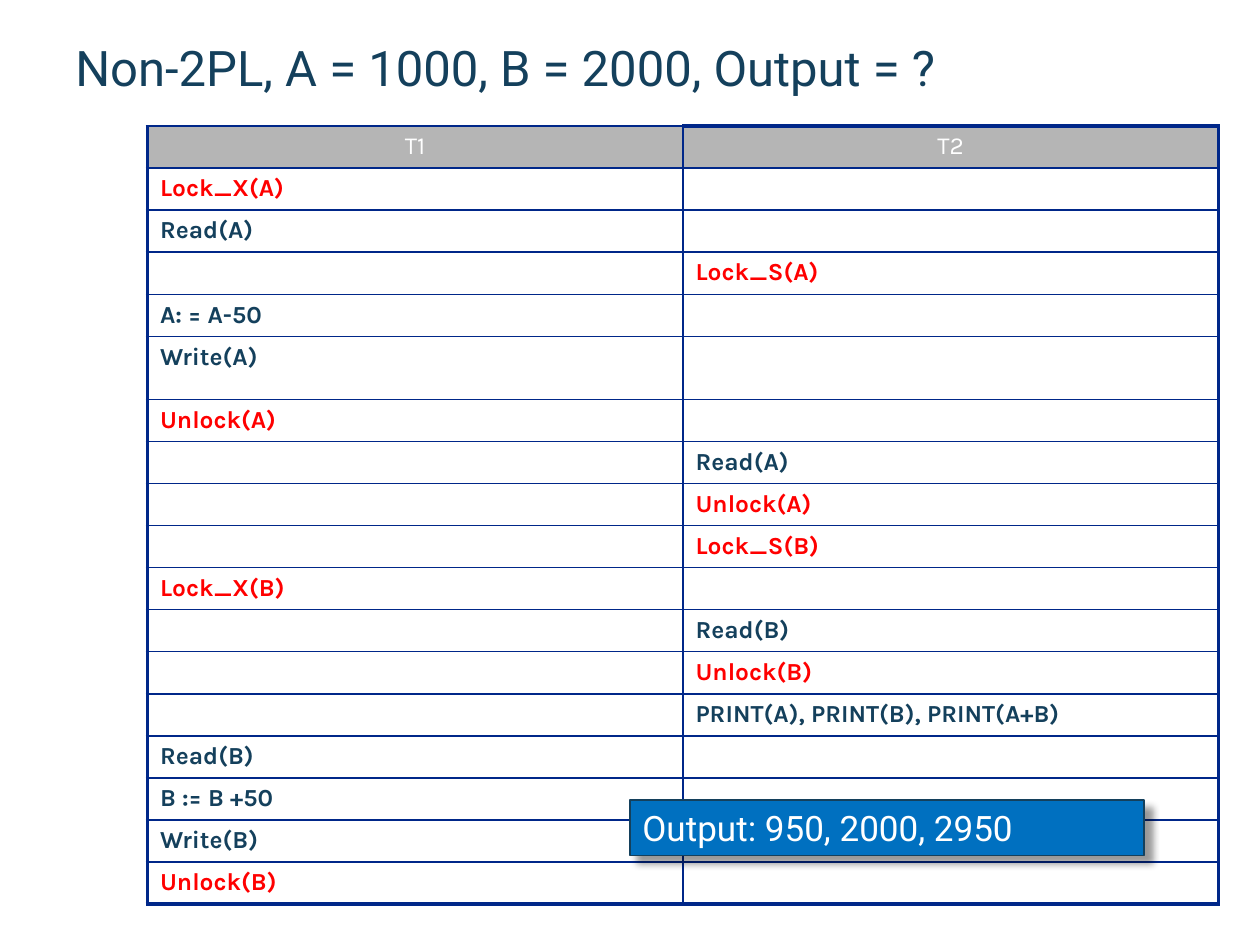
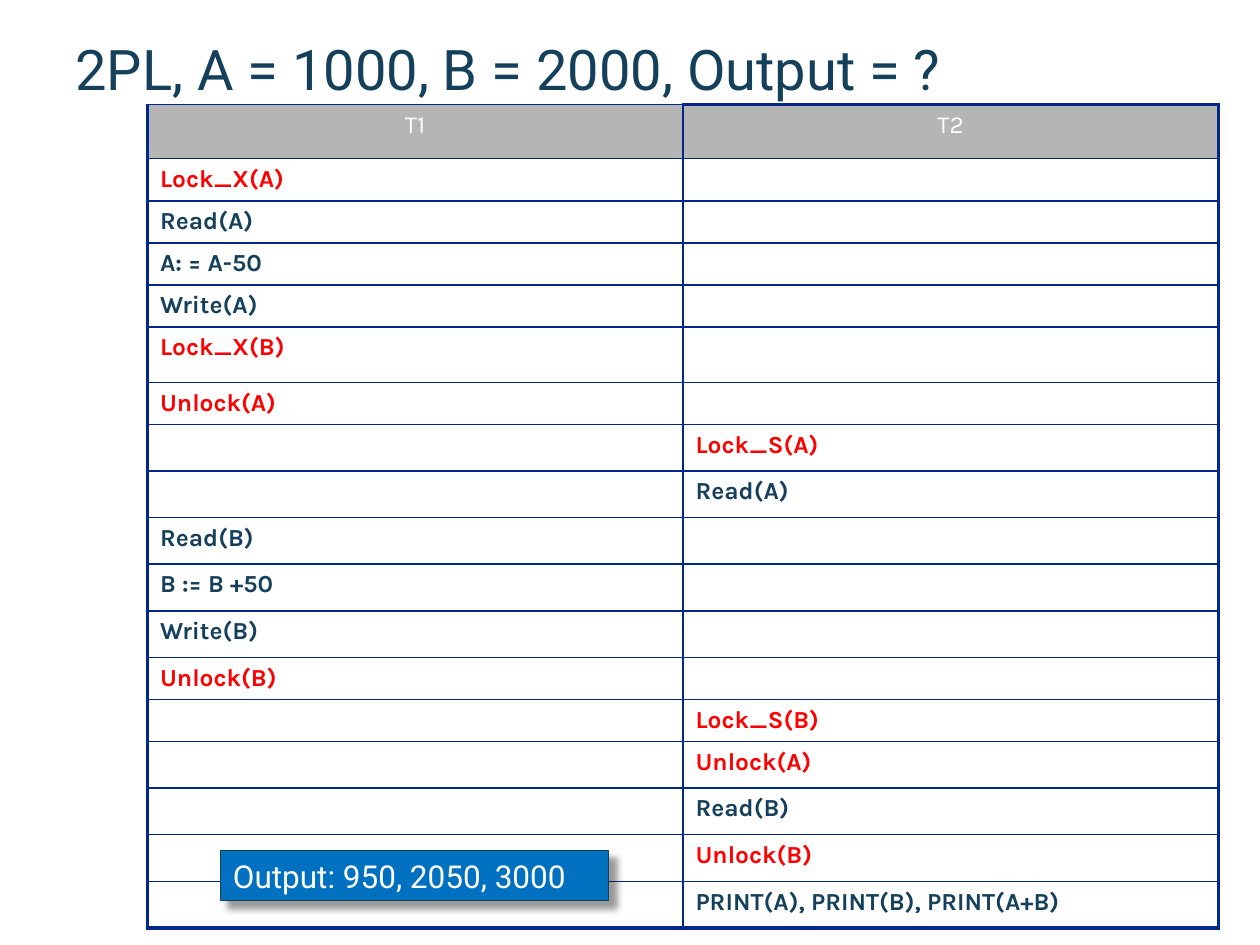
from pptx import Presentation
from pptx.dml.color import RGBColor
from pptx.enum.shapes import MSO_SHAPE as Shape
from pptx.enum.text import MSO_ANCHOR as Anchor, PP_ALIGN as Align
from pptx.oxml import parse_xml
from pptx.oxml.ns import nsdecls, qn
from pptx.util import Inches, Pt
from lxml.etree import SubElement as Sub

NAVY = RGBColor(0x14, 0x40, 0x5C)
RED = RGBColor(0xFF, 0x00, 0x00)
WHITE = RGBColor(0xFF, 0xFF, 0xFF)
GREY = RGBColor(0xB5, 0xB5, 0xB5)
BLUE = RGBColor(0x00, 0x70, 0xC0)
EDGE = RGBColor(0x00, 0x27, 0x89)

HEAD_FONT = "Roboto"
CELL_FONT = "Karla"
CELL_SIZE = 14
THICK, THIN = 2.25, 1
LOW, HIGH = 1 / 3, 0.37

LOOSE = [
    (0, "Lock_X(A)"), (0, "Read(A)"), (1, "Lock_S(A)"), (0, "A: = A-50"),
    (0, "Write(A)"), (0, "Unlock(A)"), (1, "Read(A)"), (1, "Unlock(A)"),
    (1, "Lock_S(B)"), (0, "Lock_X(B)"), (1, "Read(B)"), (1, "Unlock(B)"),
    (1, "PRINT(A), PRINT(B), PRINT(A+B)"), (0, "Read(B)"),
    (0, "B := B +50"), (0, "Write(B)"), (0, "Unlock(B)"),
]
STRICT = [
    (0, "Lock_X(A)"), (0, "Read(A)"), (0, "A: = A-50"), (0, "Write(A)"),
    (0, "Lock_X(B)"), (0, "Unlock(A)"), (1, "Lock_S(A)"), (1, "Read(A)"),
    (0, "Read(B)"), (0, "B := B +50"), (0, "Write(B)"), (0, "Unlock(B)"),
    (1, "Lock_S(B)"), (1, "Unlock(A)"), (1, "Read(B)"), (1, "Unlock(B)"),
    (1, "PRINT(A), PRINT(B), PRINT(A+B)"),
]
LOOSE_ROWS = [LOW] * 5 + [0.5] + [LOW] * 12
STRICT_ROWS = [0.43] + [LOW] * 4 + [0.44, LOW] + [HIGH] * 5 + [LOW] * 2 + [HIGH] * 4


def add_run(para, text, size, color, font, bold=False):
    run = para.add_run()
    run.text = text
    run.font.size = Pt(size)
    run.font.name = font
    run.font.bold = bold
    run.font.color.rgb = color


def add_title(slide, text, top, height, size):
    box = slide.shapes.add_textbox(Inches(0.5), Inches(top), Inches(9), Inches(height))
    frame = box.text_frame
    frame.word_wrap = True
    frame.vertical_anchor = Anchor.MIDDLE
    add_run(frame.paragraphs[0], text, size, NAVY, HEAD_FONT)


def set_edges(cell, widths):
    props = cell._tc.get_or_add_tcPr()
    for side, width in widths.items():
        line = Sub(props, qn(f"a:ln{side}"), w=str(Pt(width)))
        fill = Sub(line, qn("a:solidFill"))
        Sub(fill, qn("a:srgbClr"), val=str(EDGE))


def size_empty(cell):
    end = Sub(cell.text_frame.paragraphs[0]._p, qn("a:endParaRPr"), sz=str(CELL_SIZE * 100))
    Sub(end, qn("a:latin"), typeface=CELL_FONT)


def add_steps(slide, steps, top, heights):
    frame = slide.shapes.add_table(len(heights), 2, Inches(1.17), Inches(top),
                                   Inches(8.5), Inches(sum(heights)))
    table = frame.table
    table.first_row = False
    table.horz_banding = False
    for col in table.columns:
        col.width = Inches(4.25)
    for row, height in zip(table.rows, heights):
        row.height = Inches(height)
    last = len(heights) - 1
    for y in range(len(heights)):
        for x in range(2):
            cell = table.cell(y, x)
            set_edges(cell, {
                "L": THIN if x else THICK,
                "R": THICK if x else THIN,
                "T": THICK if x and y == 0 else THIN,
                "B": THICK if y == last else THIN,
            })
            para = cell.text_frame.paragraphs[0]
            if y == 0:
                cell.fill.solid()
                cell.fill.fore_color.rgb = GREY
                para.alignment = Align.CENTER
                add_run(para, f"T{x + 1}", CELL_SIZE, WHITE, CELL_FONT)
                continue
            cell.fill.background()
            side, text = steps[y - 1]
            if x == side:
                color = RED if "lock" in text.lower() else NAVY
                add_run(para, text, CELL_SIZE, color, CELL_FONT, True)
            else:
                size_empty(cell)


def add_shadow(shape):
    shape.shadow.inherit = False
    props = shape._element.spPr
    props.remove(props.find(qn("a:effectLst")))
    props.append(parse_xml(
        f'<a:effectLst {nsdecls("a")}>'
        f'<a:outerShdw blurRad="{Pt(4)}" dist="{Pt(6)}" dir="2700000" algn="tl" rotWithShape="0">'
        '<a:srgbClr val="000000"><a:alpha val="40000"/></a:srgbClr>'
        '</a:outerShdw></a:effectLst>'))


def add_output(slide, text, left, top, width, height, size):
    box = slide.shapes.add_shape(Shape.RECTANGLE, Inches(left), Inches(top),
                                 Inches(width), Inches(height))
    box.fill.solid()
    box.fill.fore_color.rgb = BLUE
    box.line.color.rgb = NAVY
    box.line.width = Pt(0.75)
    add_shadow(box)
    frame = box.text_frame
    frame.word_wrap = True
    frame.vertical_anchor = Anchor.TOP
    para = frame.paragraphs[0]
    para.alignment = Align.LEFT
    add_run(para, text, size, WHITE, HEAD_FONT)


def main():
    deck = Presentation()
    deck.slide_width = Inches(10)
    deck.slide_height = Inches(7.5)
    blank = deck.slide_layouts[6]

    slide = deck.slides.add_slide(blank)
    add_title(slide, "Non-2PL, A = 1000, B = 2000, Output = ?", 0.25, 0.57, 28)
    add_steps(slide, LOOSE, 1, LOOSE_ROWS)
    add_output(slide, "Output: 950, 2000, 2950", 5, 6.35, 4.08, 0.44, 20)

    slide = deck.slides.add_slide(blank)
    add_title(slide, "2PL, A = 1000, B = 2000, Output = ?", 0.22, 0.64, 32)
    add_steps(slide, STRICT, 0.83, STRICT_ROWS)
    add_output(slide, "Output: 950, 2050, 3000", 1.75, 6.75, 3.08, 0.4, 18)

    deck.save("out.pptx")


if __name__ == "__main__":
    main()
